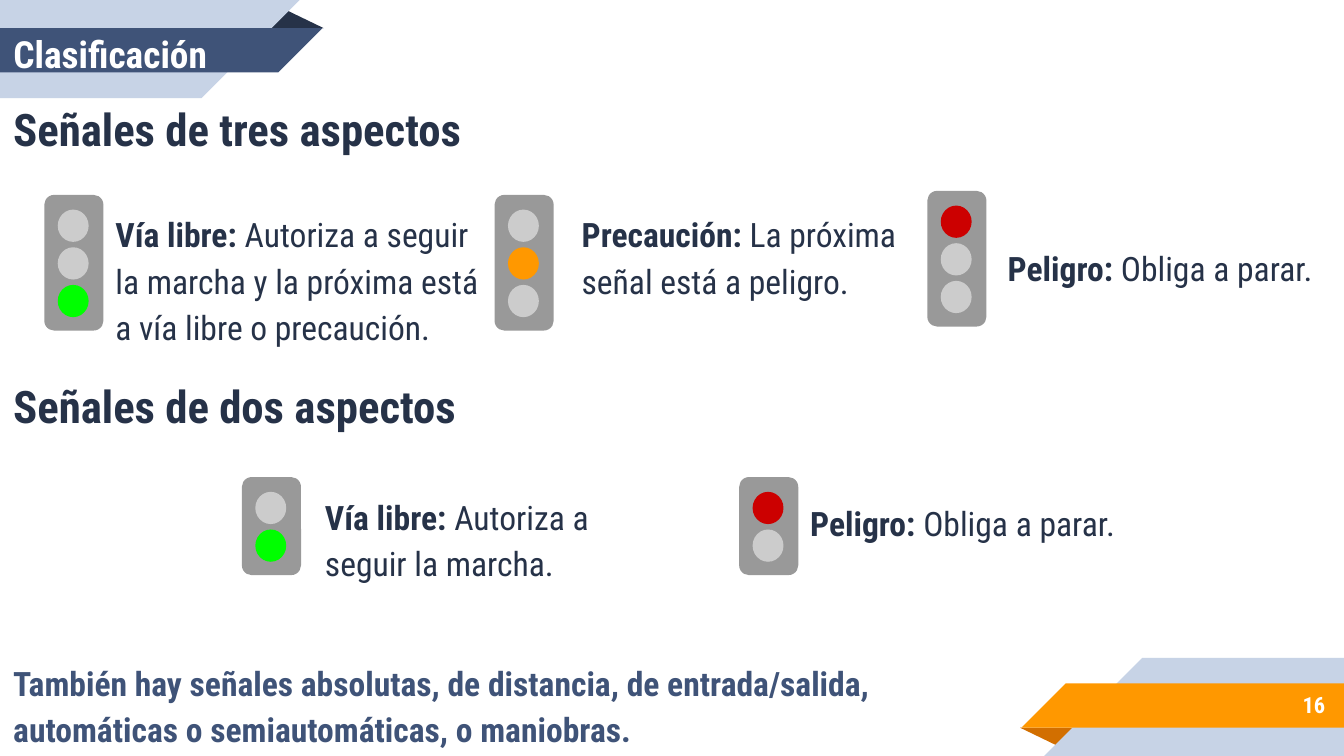
from pptx import Presentation
from pptx.dml.color import RGBColor
from pptx.enum.shapes import MSO_SHAPE as Preset
from pptx.enum.text import MSO_ANCHOR as Anchor, MSO_AUTO_SIZE as AutoSize, PP_ALIGN as Align
from pptx.util import Inches, Pt

WIDTH = 10
HEIGHT = WIDTH * 9 / 16

THEME = {
    "font": "Roboto Condensed",
    "title": 20, "heading": 24, "body": 18, "number": 12,
    "white": "FFFFFF", "dark": "263248", "blue": "3F5378", "pale": "C7D3E6",
    "orange": "FF9800", "dark orange": "D26F00",
    "housing": "999999", "off": "CCCCCC", "green": "00FF00", "red": "CC0000",
}

TITLE = ("Clasificación", (0, 0.25, 1.8, 0.3))
HEADINGS = [
    ("Señales de dos aspectos", (0, 2.52, 3.5, 0.94)),
    ("Señales de tres aspectos", (0, 0.63, 3.73, 0.6)),
]
NOTE = (
    "También hay señales absolutas, de distancia, de entrada/salida, "
    "automáticas o semiautomáticas, o maniobras.",
    (0, 4.93, 7.62, 0.6),
)
NUMBER = ("16", (8.33, 5.07, 1.63, 0.35))

SIGNALS = [
    ((0.33, 1.45), ("off", "off", "green"), "Vía libre: ",
     "Autoriza a seguir la marcha y la próxima está a vía libre o precaución.",
     (0.76, 1.45, 2.92, 1.2)),
    ((3.68, 1.45), ("off", "orange", "off"), "Precaución: ",
     "La próxima señal está a peligro.", (4.23, 1.45, 2.67, 0.85)),
    ((6.9, 1.42), ("red", "off", "off"), "Peligro: ",
     "Obliga a parar.", (7.4, 1.7, 2.6, 0.5)),
    ((1.8, 3.55), ("off", "green"), "Vía libre: ",
     "Autoriza a seguir la marcha.", (2.32, 3.55, 2.76, 0.85)),
    ((5.5, 3.55), ("red", "off"), "Peligro: ",
     "Obliga a parar.", (5.93, 3.6, 2.76, 0.5)),
]

FOLD = [(1.98, 0.21), (2.12, 0.07), (2.41, 0.21)]
BACK_BAND = [(0, 0), (2.23, 0), (1.5, 0.73), (0, 0.73)]
FRONT_BAND = [(0, 0.21), (2.4, 0.21), (2.07, 0.54), (0, 0.54)]

HOUSING_WIDTH, HOUSING_EXTRA = 0.44, 0.17
LAMP_WIDTH, LAMP_HEIGHT, LAMP_STEP = 0.23, 0.24, 0.28
LAMP_LEFT, LAMP_TOP = 0.1, 0.11


def paint(shape, color):
    shape.shadow.inherit = False
    shape.fill.solid()
    shape.fill.fore_color.rgb = RGBColor.from_string(THEME[color])
    shape.line.fill.background()


def add_ribbon(slide, colors, turned=False):
    for outline, color in zip((FOLD, BACK_BAND, FRONT_BAND), colors):
        points = [(WIDTH - x, HEIGHT - y) if turned else (x, y) for x, y in outline]
        points = [(Inches(x), Inches(y)) for x, y in points]
        builder = slide.shapes.build_freeform(*points[0], scale=1.0)
        builder.add_line_segments(points[1:], close=True)
        paint(builder.convert_to_shape(), color)


def add_preset(slide, preset, box, color):
    shape = slide.shapes.add_shape(preset, *map(Inches, box))
    paint(shape, color)


def add_signal(slide, left, top, lamps):
    height = LAMP_STEP * len(lamps) + HOUSING_EXTRA
    add_preset(slide, Preset.ROUNDED_RECTANGLE, (left, top, HOUSING_WIDTH, height), "housing")
    for index, color in enumerate(lamps):
        lamp_top = top + LAMP_TOP + index * LAMP_STEP
        add_preset(slide, Preset.OVAL, (left + LAMP_LEFT, lamp_top, LAMP_WIDTH, LAMP_HEIGHT), color)


def write(shape, box, runs, size, color, anchor=Anchor.MIDDLE, align=Align.LEFT,
          spacing=1.0, auto_size=AutoSize.NONE):
    shape.left, shape.top, shape.width, shape.height = map(Inches, box)
    frame = shape.text_frame
    frame.word_wrap = True
    frame.auto_size = auto_size
    frame.vertical_anchor = anchor
    frame.margin_left = frame.margin_right = Inches(0.1)
    frame.margin_top = frame.margin_bottom = Inches(0.1)
    paragraph = frame.paragraphs[0]
    paragraph.alignment = align
    paragraph.line_spacing = spacing
    for text, bold in runs:
        run = paragraph.add_run()
        run.text = text
        run.font.name = THEME["font"]
        run.font.size = Pt(THEME[size])
        run.font.bold = bold
        run.font.color.rgb = RGBColor.from_string(THEME[color])


def add_text(slide, box, *arguments, **options):
    shape = slide.shapes.add_textbox(*map(Inches, box))
    write(shape, box, *arguments, **options)


def main():
    presentation = Presentation()
    presentation.slide_width = Inches(WIDTH)
    presentation.slide_height = Inches(HEIGHT)
    slide = presentation.slides.add_slide(presentation.slide_layouts.get_by_name("Title Only"))

    add_ribbon(slide, ("dark orange", "pale", "orange"), turned=True)
    add_ribbon(slide, ("dark", "pale", "blue"))

    text, box = NUMBER
    add_text(slide, box, [(text, True)], "number", "white", align=Align.RIGHT)

    title = slide.shapes.title
    text, box = TITLE
    write(title, box, [(text, True)], "title", "white")
    slide.shapes._spTree.append(title._element)

    text, box = NOTE
    add_text(slide, box, [(text, True)], "body", "blue", spacing=1.15)
    for text, box in HEADINGS:
        add_text(slide, box, [(text, True)], "heading", "dark", spacing=1.15)

    for (left, top), lamps, name, meaning, box in SIGNALS:
        add_signal(slide, left, top, lamps)
        add_text(slide, box, [(name, True), (meaning, False)], "body", "dark",
                 anchor=Anchor.TOP, spacing=1.15, auto_size=AutoSize.SHAPE_TO_FIT_TEXT)

    presentation.save("out.pptx")


if __name__ == "__main__":
    main()
